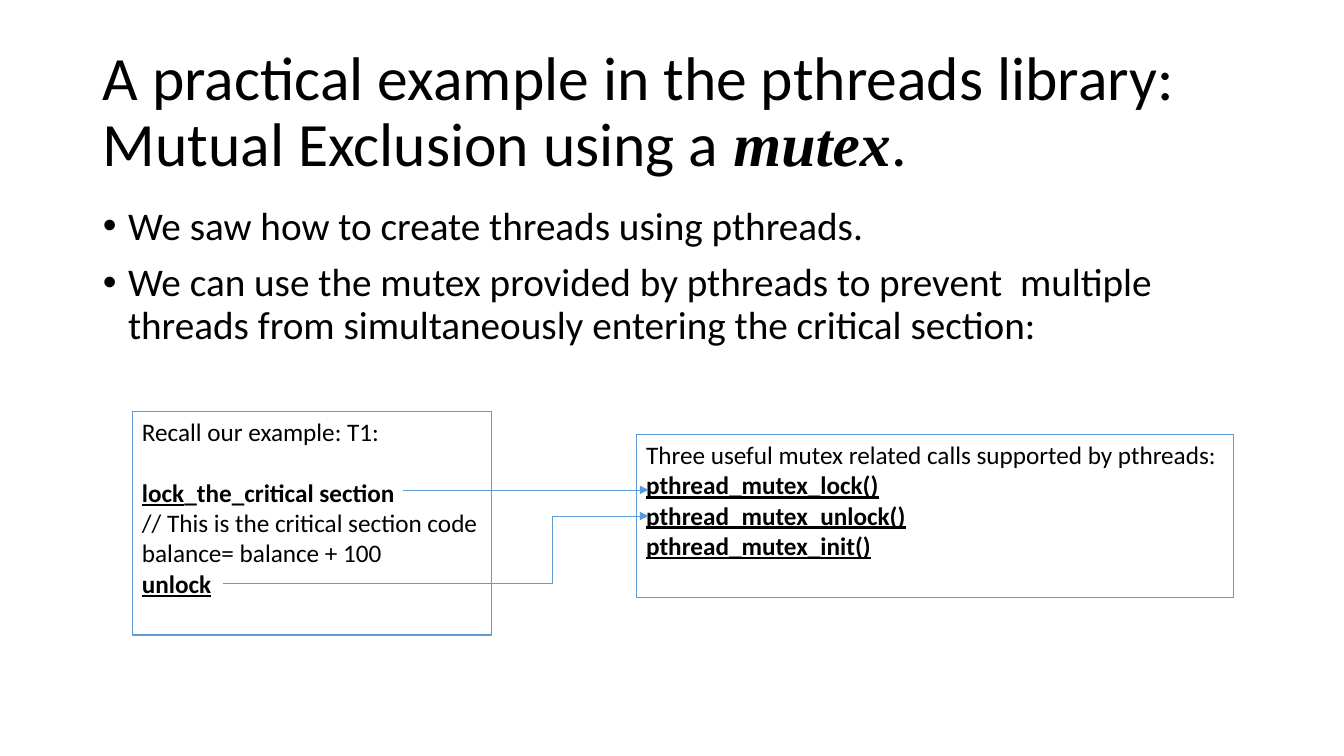
import dataclasses

import lxml.etree
import pptx
import pptx.dml.color
import pptx.enum.shapes
import pptx.enum.text
import pptx.oxml.ns
import pptx.util

Inches, Pt = pptx.util.Inches, pptx.util.Pt
RGB = pptx.dml.color.RGBColor.from_string
qn = pptx.oxml.ns.qn


@dataclasses.dataclass(frozen=True)
class Theme:
    text: str = "000000"
    accent: str = "5B9BD5"
    font: str = "Calibri"
    term_font: str = "Times New Roman"
    title_size: int = 44
    body_size: int = 28
    box_size: int = 18
    box_line: float = 0.75
    arrow_line: float = 0.5


def add_text(paragraph, text, *, font, size, color, **styles):
    """Add a formatted run; styles may set bold, italic and underline."""
    run = paragraph.add_run()
    run.text = text
    run.font.name, run.font.size = font, Pt(size)
    run.font.color.rgb = RGB(color)
    for style, value in styles.items():
        setattr(run.font, style, value)


def next_paragraph(frame, index):
    return frame.add_paragraph() if index else frame.paragraphs[0]


class SlideBuilder:
    def __init__(self, slide, theme):
        self.slide, self.theme = slide, theme

    def place(self, shape, left, top, width, height, anchor):
        shape.left, shape.top = Inches(left), Inches(top)
        shape.width, shape.height = Inches(width), Inches(height)
        frame = shape.text_frame
        frame.word_wrap = True
        frame.auto_size = pptx.enum.text.MSO_AUTO_SIZE.NONE
        frame.vertical_anchor = anchor
        return frame

    def title(self, lines, *area):
        frame = self.place(self.slide.shapes.title, *area,
                           pptx.enum.text.MSO_ANCHOR.MIDDLE)
        heading = frame.paragraphs[0]
        heading.alignment = pptx.enum.text.PP_ALIGN.LEFT
        heading.line_spacing = 0.9
        for index, line in enumerate(lines):
            if index:
                heading.add_line_break()
            for text, styles in line:
                add_text(heading, text, **{"font": self.theme.font, **styles},
                         size=self.theme.title_size, color=self.theme.text)

    def bullets(self, items, *area):
        frame = self.place(self.slide.placeholders[1], *area,
                           pptx.enum.text.MSO_ANCHOR.TOP)
        for index, item in enumerate(items):
            point = next_paragraph(frame, index)
            properties = point._p.get_or_add_pPr()
            properties.set("marL", str(Inches(0.25)))
            properties.set("indent", str(-Inches(0.25)))
            lxml.etree.SubElement(properties, qn("a:buFont"), typeface="Arial")
            lxml.etree.SubElement(properties, qn("a:buChar"), char="•")
            point.line_spacing = 0.9
            point.space_before = Pt(10 if index else 0)
            add_text(point, item, font=self.theme.font,
                     size=self.theme.body_size, color=self.theme.text)

    def box(self, lines, *area, gap_after_heading=0):
        shape = self.slide.shapes.add_shape(
            pptx.enum.shapes.MSO_SHAPE.RECTANGLE, 0, 0, 0, 0)
        shape.shadow.inherit = False
        shape.fill.background()
        shape.line.color.rgb = RGB(self.theme.accent)
        shape.line.width = Pt(self.theme.box_line)
        frame = self.place(shape, *area, pptx.enum.text.MSO_ANCHOR.TOP)
        frame.margin_right = 0
        for index, line in enumerate(lines):
            paragraph = next_paragraph(frame, index)
            paragraph.alignment = pptx.enum.text.PP_ALIGN.LEFT
            if index == 1:
                paragraph.space_before = Pt(gap_after_heading)
            for text, styles in line:
                add_text(paragraph, text, font=self.theme.font,
                         size=self.theme.box_size, color=self.theme.text, **styles)

    def arrow(self, kind, start, end, bend=None):
        connector = self.slide.shapes.add_connector(
            kind, *map(Inches, start), *map(Inches, end))
        connector.line.color.rgb = RGB(self.theme.accent)
        connector.line.width = Pt(self.theme.arrow_line)
        properties = connector._element.spPr
        lxml.etree.SubElement(properties.find(qn("a:ln")), qn("a:tailEnd"),
                              type="triangle")
        lxml.etree.SubElement(properties, qn("a:effectLst"))
        if bend is not None:
            adjustments = properties.find(qn("a:prstGeom")).find(qn("a:avLst"))
            lxml.etree.SubElement(adjustments, qn("a:gd"), name="adj1",
                                  fmla=f"val {round(bend * 100000)}")


def main():
    presentation = pptx.Presentation()
    presentation.slide_width = Inches(13.33)
    presentation.slide_height = Inches(7.5)
    theme = Theme()
    builder = SlideBuilder(
        presentation.slides.add_slide(presentation.slide_layouts[1]), theme)

    # Title and introduction
    term = {"font": theme.term_font, "bold": True, "italic": True}
    builder.title([
        [("A practical example in the pthreads library:", {})],
        [("Mutual Exclusion using a ", {}), ("mutex", term), (".", {})],
    ], 0.92, 0.4, 11.5, 1.45)
    builder.bullets([
        "We saw how to create threads using pthreads.",
        "We can use the mutex provided by pthreads to prevent  multiple threads "
        "from simultaneously entering the critical section:",
    ], 0.92, 2, 11.5, 4.76)

    # Thread example and the pthreads calls
    call = {"bold": True, "underline": True}
    builder.box([
        [("Recall our example: T1:", {})],
        [("lock", call), ("_the_critical section", {"bold": True})],
        [("// This is the critical section code", {})],
        [("balance= balance + 100", {})],
        [("unlock", call)],
    ], 1.31, 4.08, 3.57, 2.22, gap_after_heading=22)
    mutex_calls = ["lock", "unlock", "init"]
    builder.box([
        [("Three useful mutex related calls supported by pthreads:", {})],
        *([(f"pthread_mutex_{name}()", call)] for name in mutex_calls),
    ], 6.31, 4.31, 5.92, 1.62)

    # Arrows from each step to its call
    connectors = pptx.enum.shapes.MSO_CONNECTOR
    builder.arrow(connectors.STRAIGHT, (4, 4.86), (6.43, 4.86))
    builder.arrow(connectors.ELBOW, (2.21, 5.79), (6.43, 5.12), bend=0.774)

    presentation.save("out.pptx")


if __name__ == "__main__":
    main()
